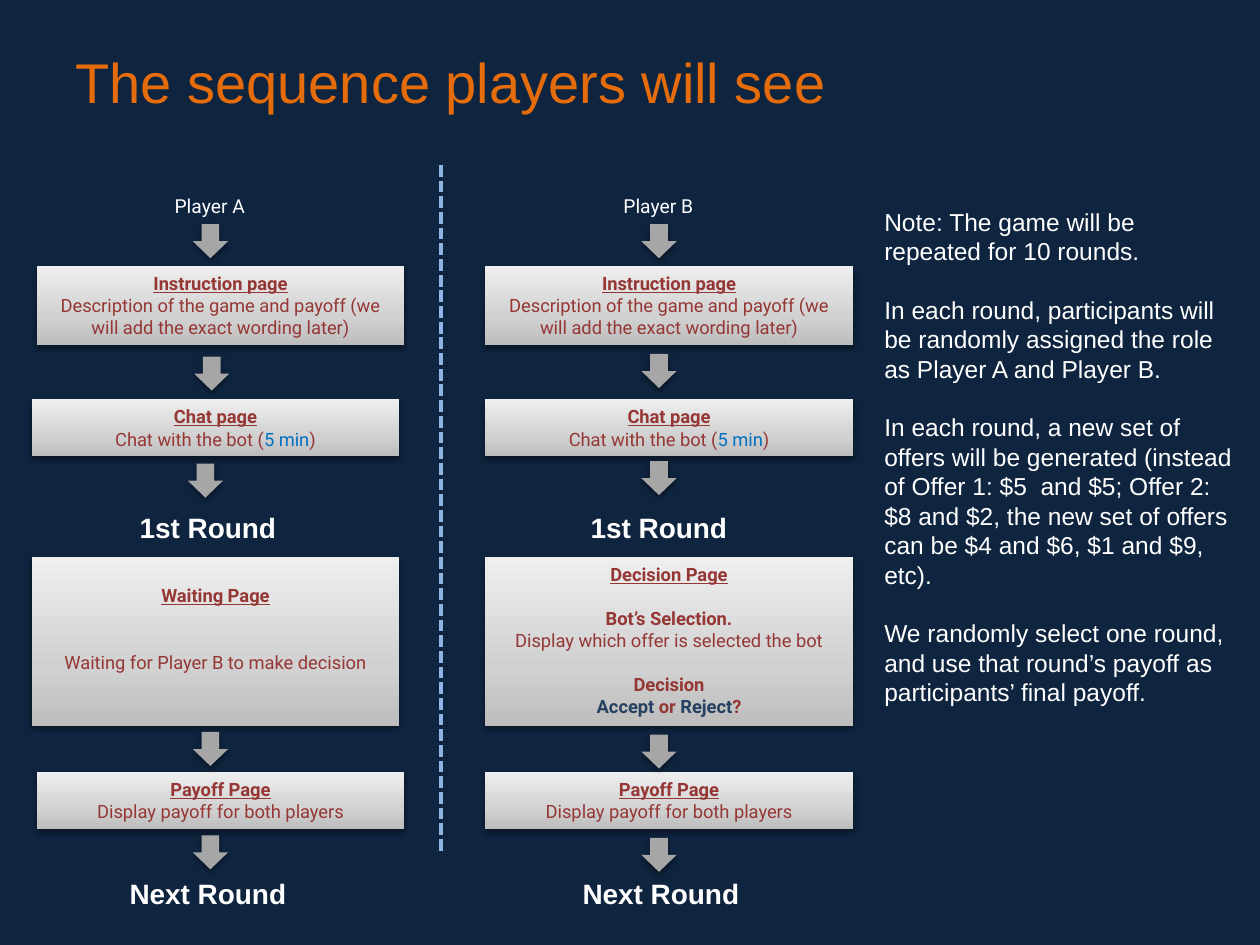
from pptx import Presentation
from pptx.dml.color import RGBColor
from pptx.enum.dml import MSO_LINE
from pptx.enum.shapes import MSO_CONNECTOR, MSO_SHAPE
from pptx.enum.text import MSO_ANCHOR, PP_ALIGN
from pptx.oxml import parse_xml
from pptx.oxml.ns import nsdecls
from pptx.util import Inches, Pt

WHITE, RED, NAVY, BLUE = "FFFFFF", "953735", "254061", "0070C0"
PAGE_STOPS = [(0, "BDBDBD"), (35, "D1D1D1"), (100, "EEEEEE")]
PAGE_WIDTH, LINE_GAP, NOTE_GAP = 2.92, 12.6, 16.8
HEADING = {"bold": True, "underline": True}
BOLD = {"bold": True}

INSTRUCTION = [
    (0, [("Instruction page", HEADING)]),
    (0, [("Description of the game and payoff (we will add the exact wording later)", {})]),
]
CHAT = [
    (0, [("Chat page", HEADING)]),
    (0, [("Chat with the bot (", {}), ("5 min", {"color": BLUE}), (")", {})]),
]
WAITING = [
    (0, [("Waiting Page", HEADING)]),
    (2 * LINE_GAP, [("Waiting for Player B to make decision", {})]),
]
DECISION = [
    (0, [("Decision Page", HEADING)]),
    (LINE_GAP, [("Bot’s Selection.", BOLD)]),
    (0, [("Display which offer is selected the bot", {})]),
    (LINE_GAP, [("Decision", BOLD)]),
    (0, [("Accept", {"bold": True, "color": NAVY}), (" or ", BOLD),
         ("Reject", {"bold": True, "color": NAVY}), ("?", BOLD)]),
]
PAYOFF = [
    (0, [("Payoff Page", HEADING)]),
    (0, [("Display payoff for both players", {})]),
]
NOTES = [
    "Note: The game will be repeated for 10 rounds.",
    "In each round, participants will be randomly assigned the role as Player A and Player B.",
    "In each round, a new set of offers will be generated (instead of Offer 1: $5  and $5; "
    "Offer 2: $8 and $2, the new set of offers can be $4 and $6, $1 and $9, etc).",
    "We randomly select one round, and use that round’s payoff as participants’ final payoff.",
]

PLAYERS = [
    {
        "pages": [(0.29, 2.11, 0.63, INSTRUCTION, 0.05), (0.25, 3.17, 0.45, CHAT, 0.05),
                  (0.25, 4.42, 1.34, WAITING, 0.22), (0.29, 6.13, 0.45, PAYOFF, 0.05)],
        "arrows": [(1.53, 1.78), (1.54, 2.83), (1.49, 3.68), (1.53, 5.81), (1.53, 6.63)],
        "name": ("Player A", 1.04),
        "round_left": 0.92,
        "next_width": 1.46,
    },
    {
        "pages": [(3.85, 2.11, 0.63, INSTRUCTION, 0.05), (3.85, 3.17, 0.45, CHAT, 0.05),
                  (3.85, 4.42, 1.34, DECISION, 0.05), (3.85, 6.13, 0.45, PAYOFF, 0.05)],
        "arrows": [(5.09, top) for top in (1.78, 2.81, 3.66, 5.83, 6.65)],
        "name": ("Player B", 4.6),
        "round_left": 4.5,
        "next_width": 1.49,
    },
]


def rgb(color):
    """Turn a hex string into a colour."""
    return RGBColor.from_string(color)


def write_text(shape, paragraphs, size=10.5, font="Roboto", color=RED,
               align=PP_ALIGN.CENTER, anchor=MSO_ANCHOR.TOP, inset_top=0.05):
    """Write (space before, runs) paragraphs into a shape."""
    frame = shape.text_frame
    frame.word_wrap = True
    frame.vertical_anchor = anchor
    frame.margin_top = Inches(inset_top)
    for index, (gap, runs) in enumerate(paragraphs):
        paragraph = frame.add_paragraph() if index else frame.paragraphs[0]
        paragraph.alignment = align
        if gap:
            paragraph.space_before = Pt(gap)
        for words, style in runs:
            run = paragraph.add_run()
            run.text = words
            run.font.size = Pt(size)
            run.font.name = font
            run.font.bold = style.get("bold", False)
            run.font.underline = style.get("underline", False)
            run.font.color.rgb = rgb(style.get("color", color))


def add_label(slide, box, paragraphs, **text_format):
    """Add a text box at left, top, width, height."""
    label = slide.shapes.add_textbox(*map(Inches, box))
    write_text(label, paragraphs, **text_format)


def add_soft_shadow(shape):
    """Give a shape a faint shadow below it."""
    shape.shadow.inherit = False
    effects = shape._element.spPr.find("{*}effectLst")
    effects.append(parse_xml(
        f'<a:outerShdw {nsdecls("a")} blurRad="40000" dist="20000" dir="5400000" rotWithShape="0">'
        '<a:srgbClr val="000000"><a:alpha val="38000"/></a:srgbClr></a:outerShdw>'))


def add_page(slide, left, top, height, paragraphs, inset_top):
    """Add a grey gradient box for one page of the game."""
    page = slide.shapes.add_shape(
        MSO_SHAPE.RECTANGLE, Inches(left), Inches(top), Inches(PAGE_WIDTH), Inches(height))
    stops = "".join(f'<a:gs pos="{position * 1000}"><a:srgbClr val="{color}"/></a:gs>'
                    for position, color in PAGE_STOPS)
    page._element.spPr.append(parse_xml(
        f'<a:gradFill {nsdecls("a")} rotWithShape="1"><a:gsLst>{stops}</a:gsLst>'
        '<a:lin ang="16200000" scaled="0"/></a:gradFill>'))
    page.line.fill.background()
    add_soft_shadow(page)
    write_text(page, paragraphs, inset_top=inset_top)


def add_step_arrow(slide, left, top):
    """Add a grey arrow that points down to the next step."""
    arrow = slide.shapes.add_shape(
        MSO_SHAPE.DOWN_ARROW, Inches(left), Inches(top), Inches(0.28), Inches(0.27))
    arrow.fill.solid()
    arrow.fill.fore_color.rgb = rgb("A6A6A6")
    arrow.line.fill.background()
    add_soft_shadow(arrow)


def add_divider(slide):
    """Add the dashed line between the two players."""
    divider = slide.shapes.add_connector(
        MSO_CONNECTOR.STRAIGHT, Inches(3.5), Inches(1.31), Inches(3.5), Inches(6.77))
    divider.line.color.rgb = rgb("8EB4E3")
    divider.line.width = Pt(2.25)
    divider.line.dash_style = MSO_LINE.SQUARE_DOT
    divider._element.spPr.append(parse_xml(f'<a:effectLst {nsdecls("a")}/>'))


def add_player(slide, player):
    """Add the whole sequence of one player."""
    name, name_left = player["name"]
    add_label(slide, (name_left, 1.49, 1.25, 0.29), [(0, [(name, {})])], size=11, color=WHITE)
    for page in player["pages"]:
        add_page(slide, *page)
    for left, top in player["arrows"]:
        add_step_arrow(slide, left, top)
    rounds = [("1st Round", 4, 1.46), ("Next Round", 6.91, player["next_width"])]
    for words, top, width in rounds:
        add_label(slide, (player["round_left"], top, width, 0.37), [(0, [(words, BOLD)])],
                  size=16, font="Arial", color=WHITE)


def main():
    """Build and save the slide."""
    deck = Presentation()
    deck.slide_width, deck.slide_height = Inches(10), Inches(7.5)
    slide = deck.slides.add_slide(deck.slide_layouts[6])
    slide.background.fill.solid()
    slide.background.fill.fore_color.rgb = rgb("0F243E")
    add_label(slide, (0.5, 0.25, 9, 0.78), [(0, [("The sequence players will see", {})])],
              size=32, font="Arial", color="E46C0A", align=PP_ALIGN.LEFT,
              anchor=MSO_ANCHOR.MIDDLE)
    for player in PLAYERS:
        add_player(slide, player)
    add_divider(slide)
    notes = [(NOTE_GAP if index else 0, [(note, {})]) for index, note in enumerate(NOTES)]
    add_label(slide, (6.92, 1.59, 3, 4.11), notes,
              size=14, font="Arial", color=WHITE, align=PP_ALIGN.LEFT)
    deck.save("out.pptx")


if __name__ == "__main__":
    main()
